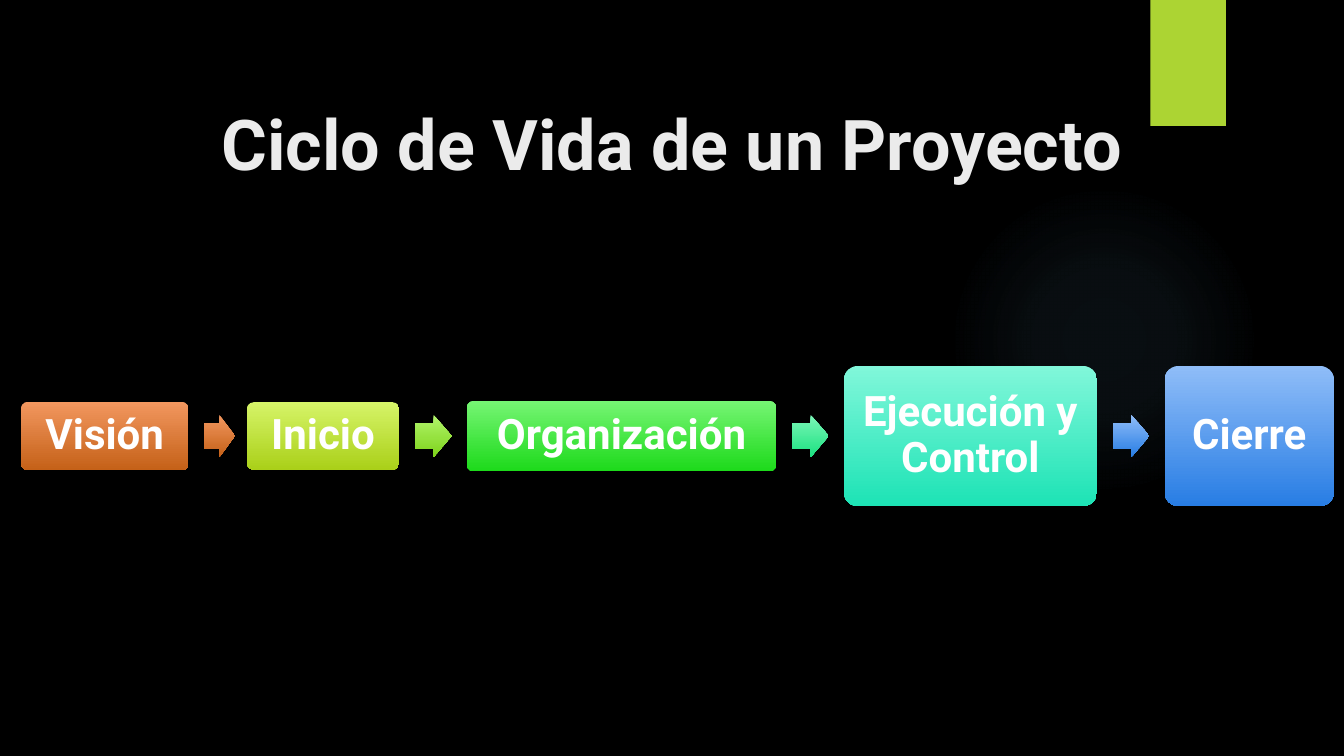
from dataclasses import dataclass

from pptx import Presentation, oxml
from pptx.dml.color import RGBColor as Rgb
from pptx.enum import shapes as kinds, text as txt
from pptx.oxml import ns
from pptx.util import Inches, Pt


@dataclass(frozen=True)
class Theme:
    back: str = "000000"
    glow: str = "7AC4F0"
    tab: str = "ACD433"
    title: str = "EBEBEB"
    label: str = "FFFFFF"
    orange: tuple = ("F2975F", "C56118")
    lime: tuple = ("D6F468", "AAD019")
    leaf: tuple = ("B2F46C", "7DD31A")
    green: tuple = ("76F574", "1DDA1B")
    mint: tuple = ("7CF6B8", "1BE180")
    aqua: tuple = ("81F7DA", "1DE3B5")
    blue: tuple = ("8FBDF8", "287DE4")
    font: str = "Roboto"
    head: int = 50
    body: int = 30


theme = Theme()
kind = kinds.MSO_SHAPE
deck = Presentation()
deck.slide_width = Inches(13.33)
deck.slide_height = Inches(7.5)
slide = deck.slides.add_slide(deck.slide_layouts[6])
slide.background.fill.solid()
slide.background.fill.fore_color.rgb = Rgb.from_string(theme.back)


def draw(form, left, top, width, height, tones=()):
    shape = slide.shapes.add_shape(
        form, Inches(left), Inches(top), Inches(width), Inches(height))
    shape.shadow.inherit = False
    shape.line.fill.background()
    if len(tones) == 1:
        shape.fill.solid()
        shape.fill.fore_color.rgb = Rgb.from_string(tones[0])
    elif tones:
        shape.fill.gradient()
        shape.fill.gradient_angle = 270
        for stop, tone in zip(shape.fill.gradient_stops, tones):
            stop.color.rgb = Rgb.from_string(tone)
    return shape


def write(shape, words, size, tone, inset):
    frame = shape.text_frame
    frame.text = words
    frame.word_wrap = True
    frame.vertical_anchor = txt.MSO_ANCHOR.MIDDLE
    frame.margin_left = frame.margin_right = Inches(inset)
    para = frame.paragraphs[0]
    para.alignment = txt.PP_ALIGN.CENTER
    font = para.runs[0].font
    font.name = theme.font
    font.size = Pt(size)
    font.bold = True
    font.color.rgb = Rgb.from_string(tone)
    return para


glow = draw(kind.OVAL, 9.41, 1.83, 3.08, 3.08)
stops = "".join(
    f'<a:gs pos="{place * 1000}"><a:srgbClr val="{theme.glow}">'
    f'<a:alpha val="{alpha * 1000}"/></a:srgbClr></a:gs>'
    for place, alpha in ((0, 7), (36, 6), (69, 0)))
glow.element.spPr.insert(2, oxml.parse_xml(
    f'<a:gradFill {ns.nsdecls("a")}><a:gsLst>{stops}</a:gsLst>'
    '<a:path path="circle"><a:fillToRect l="50000" t="50000" r="50000" b="50000"/>'
    '</a:path></a:gradFill>'))

draw(kind.RECTANGLE, 11.41, 0, 0.75, 1.25, (theme.tab,))

title = slide.shapes.add_textbox(Inches(1.52), Inches(0.96), Inches(10.29), Inches(0.91))
write(title, "Ciclo de Vida de un Proyecto", theme.head, theme.title, 0.1)

middle = 4.325
steps = (
    ("Visión", 0.21, 1.66, 0.68, theme.orange),
    ("Inicio", 2.45, 1.51, 0.67, theme.lime),
    ("Organización", 4.63, 3.07, 0.7, theme.green),
    ("Ejecución y Control", 8.37, 2.51, 1.39, theme.aqua),
    ("Cierre", 11.55, 1.68, 1.39, theme.blue),
)
for words, left, width, height, tones in steps:
    box = draw(kind.ROUNDED_RECTANGLE, left, middle - height / 2, width, height, tones)
    box.adjustments[0] = 0.1
    write(box, words, theme.body, theme.label, 0.14).line_spacing = 0.9

arrows = (
    (2.02, 0.31, theme.orange),
    (4.12, 0.36, theme.leaf),
    (7.86, 0.36, theme.mint),
    (11.04, 0.36, theme.blue),
)
for left, width, tones in arrows:
    arrow = draw(kind.RIGHT_ARROW, left, middle - 0.21, width, 0.42, tones)
    arrow.adjustments[0] = 0.6
    arrow.adjustments[1] = 0.5

deck.save("out.pptx")
